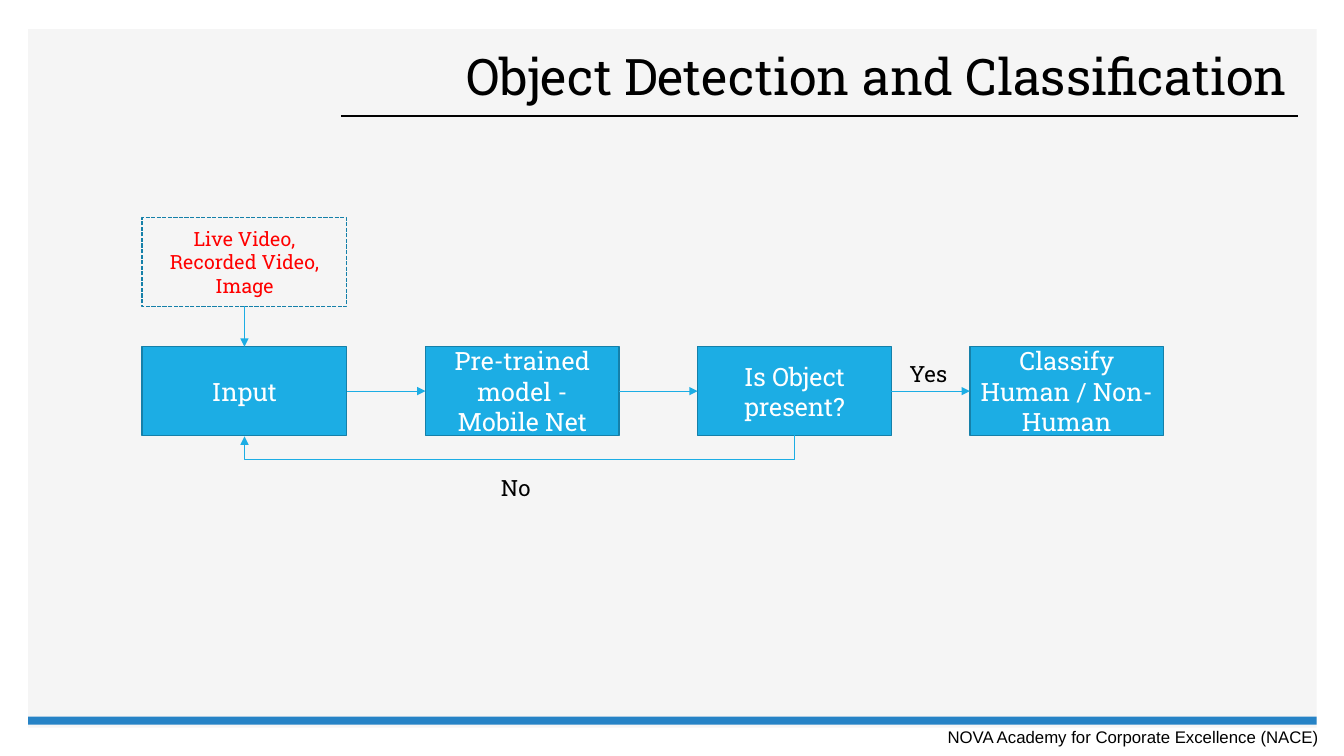
from lxml import etree
from pptx import Presentation
from pptx.dml.color import RGBColor
from pptx.enum.dml import MSO_LINE
from pptx.enum.shapes import MSO_CONNECTOR, MSO_SHAPE
from pptx.enum.text import MSO_ANCHOR, PP_ALIGN
from pptx.oxml.ns import qn
from pptx.util import Inches, Pt

RECT = MSO_SHAPE.RECTANGLE
STRAIGHT, ELBOW = MSO_CONNECTOR.STRAIGHT, MSO_CONNECTOR.ELBOW
LEFT, CENTER, RIGHT = PP_ALIGN.LEFT, PP_ALIGN.CENTER, PP_ALIGN.RIGHT
TOP, MIDDLE = MSO_ANCHOR.TOP, MSO_ANCHOR.MIDDLE
DASH = MSO_LINE.SQUARE_DOT
SIDE_TOP, SIDE_LEFT, SIDE_BOTTOM, SIDE_RIGHT = range(4)


def rgb(color):
    return RGBColor.from_string(color)


class Deck:
    font = "Roboto Slab"
    black, white, red = "000000", "FFFFFF", "FF0000"
    panel, bar = "F5F5F5", "2683C6"
    accent, border = "1CADE4", "1580A9"

    def __init__(self, slide):
        self.shapes = slide.shapes

    def fill_text(self, sp, text, size, color, align, anchor, font=None):
        tf = sp.text_frame
        tf.word_wrap = True
        tf.vertical_anchor = anchor
        p = tf.paragraphs[0]
        p.text = text
        p.alignment = align
        p.font.size = Pt(size)
        p.font.name = font or self.font
        p.font.color.rgb = rgb(color)
        return p

    def text(self, x, y, w, h, text, size, align=LEFT, anchor=TOP, font=None):
        sp = self.shapes.add_textbox(Inches(x), Inches(y), Inches(w), Inches(h))
        return self.fill_text(sp, text, size, self.black, align, anchor, font)

    def rect(self, x, y, w, h, fill=None, line=None):
        sp = self.shapes.add_shape(RECT, Inches(x), Inches(y), Inches(w), Inches(h))
        sp.shadow.inherit = False
        if fill:
            sp.fill.solid()
            sp.fill.fore_color.rgb = rgb(fill)
        else:
            sp.fill.background()
        if line:
            sp.line.color.rgb = rgb(line)
            sp.line.width = Pt(1)
        else:
            sp.line.fill.background()
        return sp

    def step(self, x, y, w, h, text):
        sp = self.rect(x, y, w, h, self.accent, self.border)
        self.fill_text(sp, text, 18, self.white, CENTER, MIDDLE)
        return sp

    def note(self, x, y, w, h, text):
        sp = self.rect(x, y, w, h, line=self.border)
        sp.line.dash_style = DASH
        self.fill_text(sp, text, 14, self.red, CENTER, MIDDLE)
        return sp

    def line(self, x1, y1, x2, y2, color, width, kind=STRAIGHT):
        cn = self.shapes.add_connector(kind, Inches(x1), Inches(y1), Inches(x2), Inches(y2))
        cn.line.color.rgb = rgb(color)
        cn.line.width = Pt(width)
        etree.SubElement(cn._element.spPr, qn("a:effectLst"))
        return cn

    def arrow(self, start, start_side, end, end_side, kind=STRAIGHT):
        cn = self.line(0, 0, 1, 1, self.accent, 0.5, kind)
        cn.begin_connect(start, start_side)
        cn.end_connect(end, end_side)
        ln = cn._element.spPr.find(qn("a:ln"))
        etree.SubElement(ln, qn("a:tailEnd"), type="triangle")
        return cn

    def loop_below(self, start, end, drop):
        cn = self.arrow(start, SIDE_BOTTOM, end, SIDE_BOTTOM, ELBOW)
        x1, x2 = (sp.left + sp.width // 2 for sp in (start, end))
        bottom = start.top + start.height
        span, depth = x1 - x2, Inches(0.01)
        xfrm = cn._element.spPr.find(qn("a:xfrm"))
        for flip in ("flipH", "flipV"):
            xfrm.attrib.pop(flip, None)
        xfrm.set("rot", str(90 * 60000))
        cn.width, cn.height = depth, span
        cn.left = (x1 + x2 - depth) // 2
        cn.top = bottom + (depth - span) // 2
        geom = cn._element.spPr.find(qn("a:prstGeom"))
        guides = geom.find(qn("a:avLst"))
        if guides is None:
            guides = etree.SubElement(geom, qn("a:avLst"))
        ratio = round(Inches(drop) / depth * 100000)
        etree.SubElement(guides, qn("a:gd"), name="adj1", fmla=f"val {ratio}")


def main():
    prs = Presentation()
    prs.slide_width, prs.slide_height = Inches(13.33), Inches(7.5)
    s = prs.slides.add_slide(prs.slide_layouts[6])
    deck = Deck(s)

    deck.rect(0.28, 0.29, 12.78, 6.93, deck.panel)
    deck.line(3.38, 1.15, 12.87, 1.15, deck.black, 1)
    deck.rect(0.28, 7.11, 12.78, 0.08, deck.bar)
    title = deck.text(3.7, 0.42, 9.17, 0.73, "Object Detection and Classification", 36, RIGHT, MIDDLE)
    title.line_spacing = 0.9
    deck.text(9.3, 7.16, 4.03, 0.3, "NOVA Academy for Corporate Excellence (NACE)", 12, font="Arial")

    row_y, box_h = 3.44, 0.88
    source = deck.note(1.41, 2.16, 2.03, box_h, "Live Video, Recorded Video, Image")
    first = deck.step(1.41, row_y, 2.03, box_h, "Input")
    deck.arrow(source, SIDE_BOTTOM, first, SIDE_TOP)

    steps = [first]
    labels = ("Pre-trained model - Mobile Net", "Is Object present?", "Classify Human / Non-Human")
    for i, label in enumerate(labels):
        steps.append(deck.step(4.22 + 2.7 * i, row_y, 1.92, box_h, label))
        deck.arrow(steps[-2], SIDE_RIGHT, steps[-1], SIDE_LEFT)

    deck.loop_below(steps[2], first, 0.24)
    deck.text(4.87, 4.65, 0.61, 0.37, "No", 16)
    deck.text(8.92, 3.52, 0.61, 0.37, "Yes", 16)

    prs.save("out.pptx")


if __name__ == "__main__":
    main()
